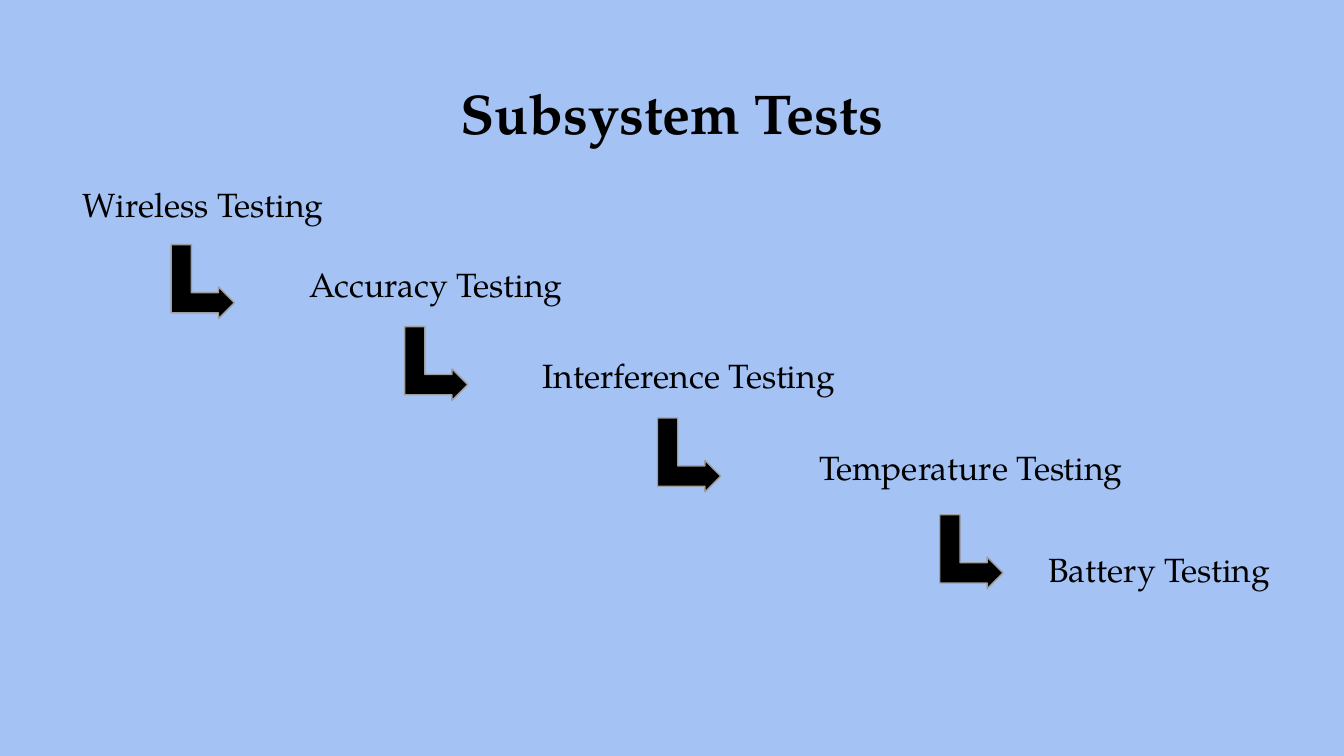
from typing import NamedTuple

from pptx import Presentation
from pptx.dml.color import RGBColor
from pptx.enum.shapes import MSO_SHAPE
from pptx.enum.text import MSO_ANCHOR, MSO_AUTO_SIZE, PP_ALIGN
from pptx.util import Inches, Pt

WIDTH = Inches(10)
HEIGHT = WIDTH * 9 // 16
FONT = "TeX Gyre Pagella"
SKY = RGBColor(0xA4, 0xC2, 0xF4)
BLACK = RGBColor(0, 0, 0)
GRAY = RGBColor(0x9E, 0x9E, 0x9E)
BENT = MSO_SHAPE.BENT_UP_ARROW
TOP = MSO_ANCHOR.TOP
CENTER = PP_ALIGN.CENTER
NO_FIT = MSO_AUTO_SIZE.NONE


class Box(NamedTuple):
    """Left, top, width and height in percent of the slide's size."""
    left: float
    top: float
    width: float
    height: float

    def place(self) -> tuple[int, int, int, int]:
        return (int(WIDTH * self.left / 100), int(HEIGHT * self.top / 100),
                int(WIDTH * self.width / 100), int(HEIGHT * self.height / 100))


class Step(NamedTuple):
    label: str
    box: Box


class Turn(NamedTuple):
    """Left and top of an arrow before its quarter turn, in percent."""
    left: float
    top: float


TITLE = Step("Subsystem Tests", Box(3.4, 8.65, 93.2, 11.2))
STEPS = [
    Step("Wireless Testing", Box(4.75, 22.58, 20.7, 6.93)),
    Step("Interference Testing", Box(38.4, 45.16, 25.7, 8.36)),
    Step("Accuracy Testing", Box(21.4, 33.2, 22.1, 8.36)),
    Step("Temperature Testing", Box(58.2, 57.28, 28.1, 6.93)),
    Step("Battery Testing", Box(75.9, 70.8, 20.7, 6.93)),
]
TURNS = [Turn(12.33, 33.07), Turn(29.7, 43.91), Turn(48.52, 56),
         Turn(69.52, 68.8)]


def write(shape, text: str, size: int, bold: bool = False) -> None:
    frame = shape.text_frame
    frame.word_wrap = True
    frame.auto_size = NO_FIT
    frame.vertical_anchor = TOP
    frame.margin_left = frame.margin_right = Inches(0.1)
    frame.margin_top = frame.margin_bottom = Inches(0.1)
    line = frame.paragraphs[0]
    line.alignment = CENTER
    run = line.add_run()
    run.text = text
    run.font.name = FONT
    run.font.size = Pt(size)
    run.font.bold = bold
    run.font.color.rgb = BLACK


def add_title(slide, title: Step) -> None:
    shape = slide.shapes.title
    shape.left, shape.top, shape.width, shape.height = title.box.place()
    write(shape, title.label, 30, bold=True)


def add_step(slide, step: Step) -> None:
    write(slide.shapes.add_textbox(*step.box.place()), step.label, 18)


def add_turn(slide, turn: Turn) -> None:
    box = Box(turn.left, turn.top, 5.5, 8.36)
    arrow = slide.shapes.add_shape(BENT, *box.place())
    arrow.rotation = 90
    arrow.adjustments[0] = 0.32
    arrow.adjustments[1] = arrow.adjustments[2] = 0.25
    arrow.shadow.inherit = False
    arrow.fill.solid()
    arrow.fill.fore_color.rgb = BLACK
    arrow.line.color.rgb = GRAY
    arrow.line.width = Pt(0.75)


def main() -> None:
    deck = Presentation()
    deck.slide_width, deck.slide_height = WIDTH, HEIGHT
    slide = deck.slides.add_slide(deck.slide_layouts[5])
    slide.background.fill.solid()
    slide.background.fill.fore_color.rgb = SKY
    add_title(slide, TITLE)
    for step in STEPS:
        add_step(slide, step)
    for turn in TURNS:
        add_turn(slide, turn)
    deck.save("out.pptx")


if __name__ == "__main__":
    main()
